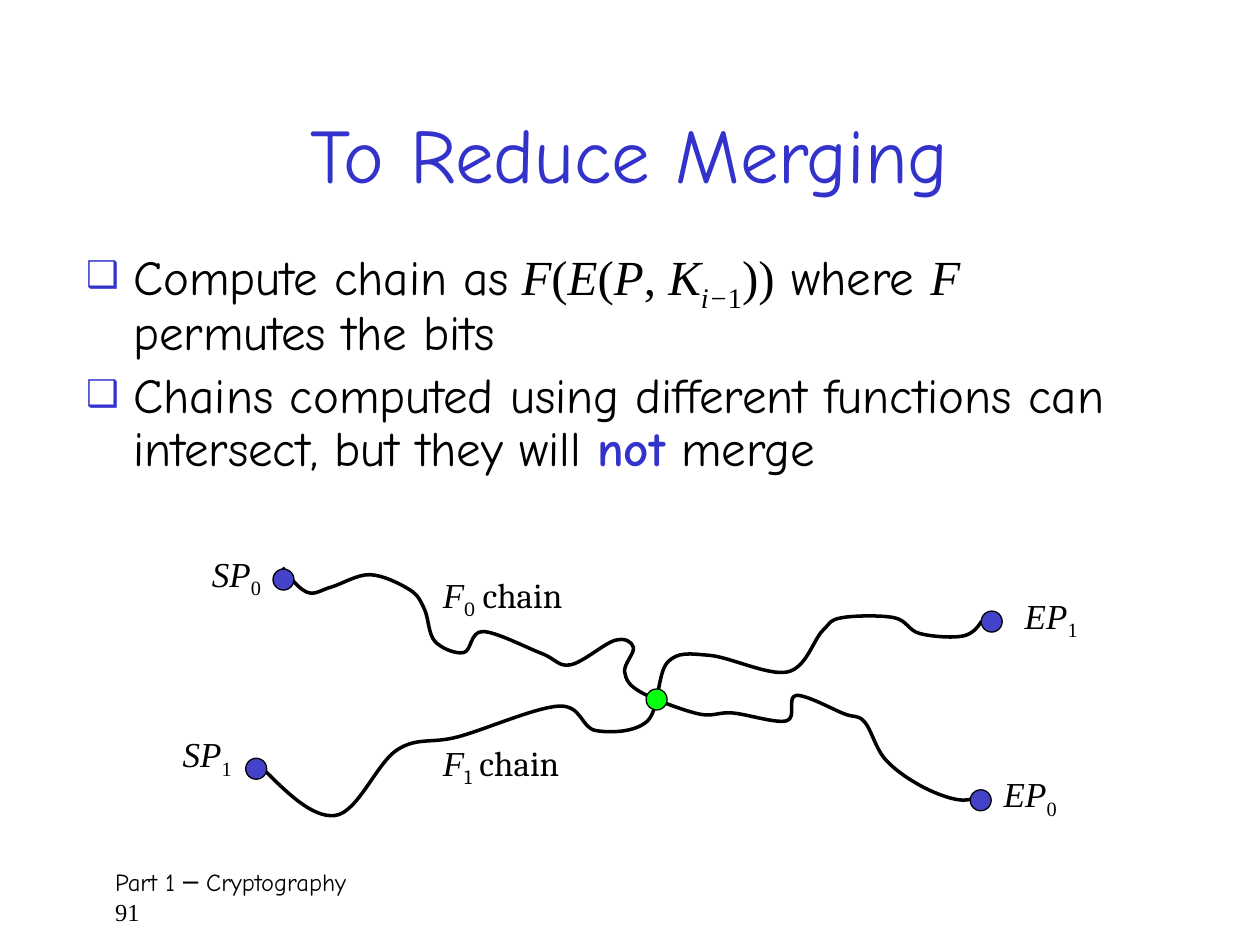
from dataclasses import dataclass
from math import cos, radians, sin

from lxml.etree import SubElement
from pptx import Presentation
from pptx.dml.color import RGBColor
from pptx.enum.shapes import MSO_SHAPE as Shape
from pptx.enum.text import MSO_ANCHOR as Anchor, MSO_AUTO_SIZE as AutoSize, PP_ALIGN as Align
from pptx.oxml.ns import qn
from pptx.util import Pt

BLACK = RGBColor(0x00, 0x00, 0x00)
BLUE = RGBColor(0x33, 0x33, 0xCC)
DOT_BLUE = RGBColor(0x43, 0x42, 0xC9)
DOT_GREEN = RGBColor(0x06, 0xFF, 0x0E)
COMIC, TIMES, CAMBRIA = "Comic Neue", "Times New Roman", "Cambria"
DOT_SIZE = 12


@dataclass
class TextRun:
    text: str
    font: str = COMIC
    italic: bool = False
    bold: bool = False
    subscript: bool = False
    color: RGBColor = BLACK


@dataclass
class Label:
    left: float
    top: float
    width: float
    runs: list[TextRun]


@dataclass
class Dot:
    left: float
    top: float
    color: RGBColor = DOT_BLUE


@dataclass
class Chain:
    rotation: float
    center: tuple
    knots: list[tuple]


def symbol(text: str, italic: bool = True, subscript: bool = False) -> TextRun:
    return TextRun(text, TIMES, italic, subscript=subscript)


def point_label(left: float, top: float, width: float, name: str, index: str) -> Label:
    return Label(left, top, width, [symbol(name), symbol(index, False, True)])


def chain_label(top: float, index: str) -> Label:
    runs = [symbol("F"), TextRun(index, CAMBRIA, subscript=True), TextRun(" chain", CAMBRIA)]
    return Label(246, top, 87, runs)


TITLE = [TextRun("To Reduce Merging", color=BLUE)]
BULLETS = [
    [
        TextRun("Compute chain as"), symbol(" F"), symbol("(", False), symbol("E"),
        symbol("(", False), symbol("P"), symbol(", ", False), symbol("K"),
        symbol("i−", subscript=True), symbol("1", False, True), symbol("))", False),
        TextRun(" where "), symbol("F"), TextRun(" permutes the bits"),
    ],
    [
        TextRun("Chains computed using different functions can intersect, but they will "),
        TextRun("not", bold=True, color=BLUE), TextRun(" merge"),
    ],
]
LABELS = [
    point_label(578.5, 336, 45, "EP", "1"),
    point_label(114, 312, 43, "SP", "0"),
    point_label(97.3, 415.2, 43, "SP", "1"),
    point_label(566.5, 438, 45, "EP", "0"),
    chain_label(324, "0"),
    chain_label(420, "1"),
]
CHAINS = [
    Chain(-11.4, (356.8, 405.4), [
        (149, 438), (191.5, 466), (227, 428.5), (262, 421), (319.5, 403.5), (340.5, 417.5),
        (370, 412), (381.5, 378.5), (405.5, 374.5), (450, 384), (470, 360.5), (481, 353),
        (511, 353), (525.5, 362), (550, 363.5), (561, 355),
    ]),
    Chain(21, (362.5, 386.3), [
        (161.5, 324.5), (175.5, 338.5), (189.5, 335.5), (211.5, 328.5), (234, 337),
        (242.5, 348), (248.5, 366.5), (265, 373), (276, 361), (309.5, 373.5), (326, 380),
        (351.5, 366), (362, 370), (357, 384), (366, 395.5), (399, 408), (418.5, 407.5),
        (449.5, 412), (455, 397.5), (482.5, 408), (494, 412.5), (505.5, 433.5),
        (525, 448.5), (547, 457), (561.5, 454.5),
    ]),
]
DOTS = [
    Dot(560.7, 349.2), Dot(140.4, 433.3), Dot(156, 325.2), Dot(554.4, 451.3),
    Dot(369.2, 393.7, DOT_GREEN),
]


def apply(target, values: dict) -> None:
    for name, value in values.items():
        setattr(target, name, value)


def place(shape, left: float, top: float, width: float, height: float) -> None:
    apply(shape, {"left": Pt(left), "top": Pt(top), "width": Pt(width), "height": Pt(height)})


def write_runs(paragraph, runs: list[TextRun], size: float) -> None:
    for item in runs:
        run = paragraph.add_run()
        run.text = item.text
        apply(run.font, {"name": item.font, "size": Pt(size),
                         "italic": item.italic, "bold": item.bold})
        run.font.color.rgb = item.color
        if item.subscript:
            run.font._element.set("baseline", "-25000")


def add_bullet(paragraph) -> None:
    properties = paragraph._p.get_or_add_pPr()
    properties.set("marL", str(Pt(27)))
    properties.set("indent", str(Pt(-27)))
    color = SubElement(properties, qn("a:buClr"))
    SubElement(color, qn("a:srgbClr")).set("val", str(BLUE))
    SubElement(properties, qn("a:buSzPct")).set("val", "75000")
    SubElement(properties, qn("a:buChar")).set("char", "❑")


def fill_title(title) -> None:
    place(title, 54, 42, 612, 90)
    apply(title.text_frame, {"vertical_anchor": Anchor.MIDDLE, "auto_size": AutoSize.NONE})
    paragraph = title.text_frame.paragraphs[0]
    paragraph.alignment = Align.CENTER
    write_runs(paragraph, TITLE, 44)


def fill_body(body) -> None:
    place(body, 42, 138, 618, 156)
    frame = body.text_frame
    apply(frame, {"vertical_anchor": Anchor.TOP, "auto_size": AutoSize.NONE})
    for index, runs in enumerate(BULLETS):
        paragraph = frame.add_paragraph() if index else frame.paragraphs[0]
        add_bullet(paragraph)
        apply(paragraph, {"line_spacing": 0.9, "space_before": Pt(5.6 if index else 0)})
        write_runs(paragraph, runs, 28)


def add_label(slide, label: Label) -> None:
    box = slide.shapes.add_textbox(Pt(label.left), Pt(label.top), Pt(label.width), Pt(31))
    apply(box.text_frame, {"word_wrap": False, "auto_size": AutoSize.SHAPE_TO_FIT_TEXT})
    write_runs(box.text_frame.paragraphs[0], label.runs, 20)


def add_footer(slide) -> None:
    box = slide.shapes.add_textbox(Pt(58.7), Pt(492), Pt(613.3), Pt(36))
    box.text_frame.word_wrap = True
    paragraph = box.text_frame.paragraphs[0]
    write_runs(paragraph, [TextRun("Part 1 ─ Cryptography")], 14)
    paragraph.add_line_break()
    write_runs(paragraph, [symbol("91", False)], 14)


def turn_back(point: tuple, chain: Chain) -> tuple:
    angle = radians(-chain.rotation)
    x, y = (value - middle for value, middle in zip(point, chain.center))
    return (Pt(chain.center[0] + x * cos(angle) - y * sin(angle)),
            Pt(chain.center[1] + x * sin(angle) + y * cos(angle)))


def midpoint(first: tuple, second: tuple) -> tuple:
    return tuple((a + b) / 2 for a, b in zip(first, second))


def curve_handles(knots: list[tuple]) -> list[tuple]:
    arrivals, departures = [], []
    for before, knot, after in zip(knots, knots[1:], knots[2:]):
        slope = [(b - a) / 6 for a, b in zip(before, after)]
        arrivals.append(tuple(k - s for k, s in zip(knot, slope)))
        departures.append(tuple(k + s for k, s in zip(knot, slope)))
    departures.insert(0, midpoint(knots[0], arrivals[0]))
    arrivals.append(midpoint(knots[-1], departures[-1]))
    return list(zip(departures, arrivals))


def add_chain(slide, chain: Chain) -> None:
    knots = [turn_back(knot, chain) for knot in chain.knots]
    builder = slide.shapes.build_freeform(*knots[0])
    builder.add_line_segments(knots[1:], close=False)
    shape = builder.convert_to_shape()
    lines = list(shape._element.iter(qn("a:lnTo")))
    for line, handles in zip(lines, curve_handles(knots)):
        line.tag = qn("a:cubicBezTo")
        for index, (x, y) in enumerate(handles):
            point = line.makeelement(qn("a:pt"))
            point.set("x", str(round(x - shape.left)))
            point.set("y", str(round(y - shape.top)))
            line.insert(index, point)
    shape.rotation = chain.rotation
    shape.shadow.inherit = False
    shape.fill.background()
    shape.line.color.rgb = BLACK
    shape.line.width = Pt(2)


def add_dot(slide, dot: Dot) -> None:
    shape = slide.shapes.add_shape(
        Shape.OVAL, Pt(dot.left), Pt(dot.top), Pt(DOT_SIZE), Pt(DOT_SIZE))
    shape.shadow.inherit = False
    shape.fill.solid()
    shape.fill.fore_color.rgb = dot.color
    shape.line.color.rgb = BLACK
    shape.line.width = Pt(0.75)


def main() -> None:
    presentation = Presentation()
    apply(presentation, {"slide_width": Pt(720), "slide_height": Pt(540)})
    slide = presentation.slides.add_slide(presentation.slide_layouts[1])
    fill_title(slide.shapes.title)
    fill_body(slide.placeholders[1])
    add_footer(slide)
    for draw, items in ((add_label, LABELS), (add_chain, CHAINS), (add_dot, DOTS)):
        for item in items:
            draw(slide, item)
    presentation.save("out.pptx")


if __name__ == "__main__":
    main()
